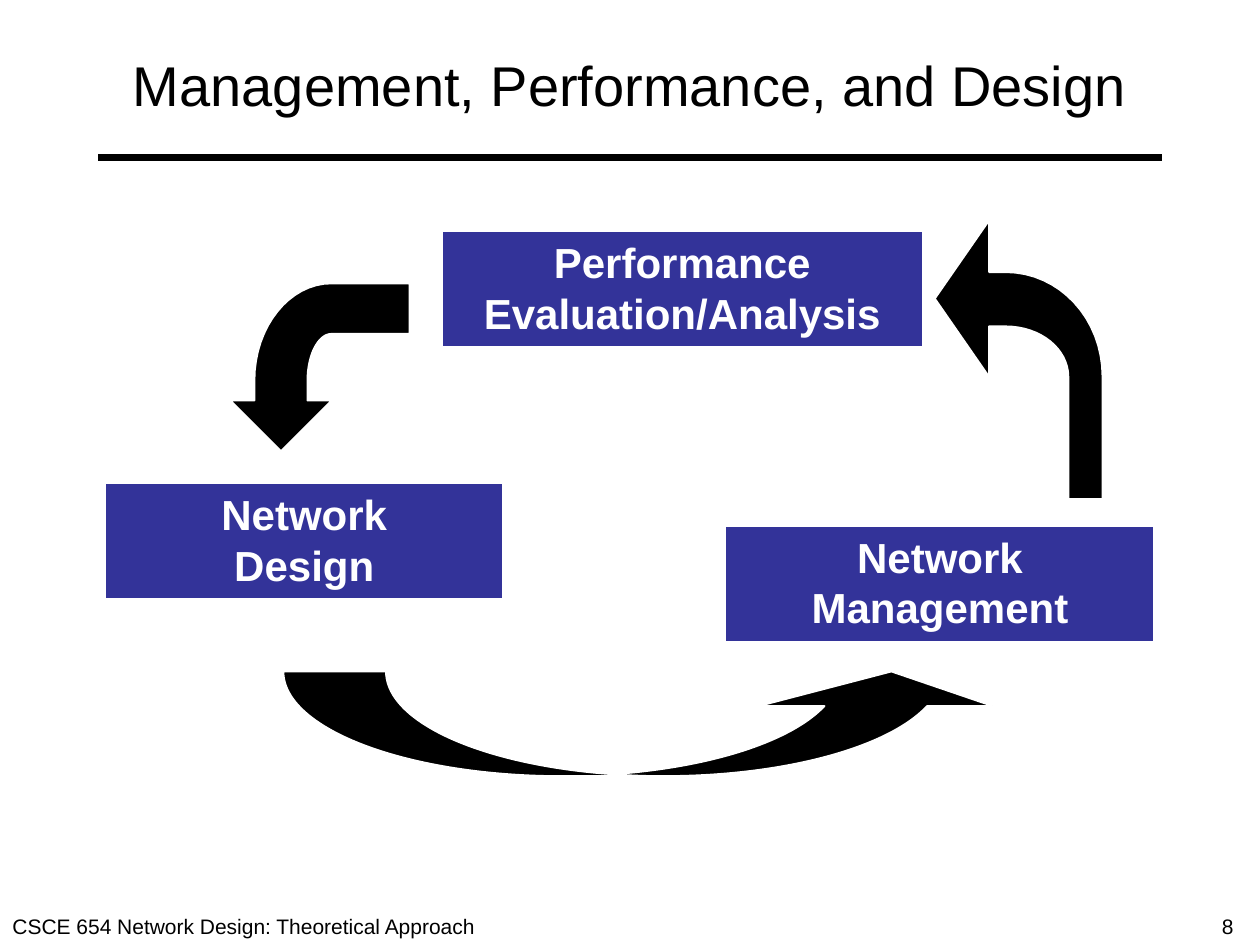
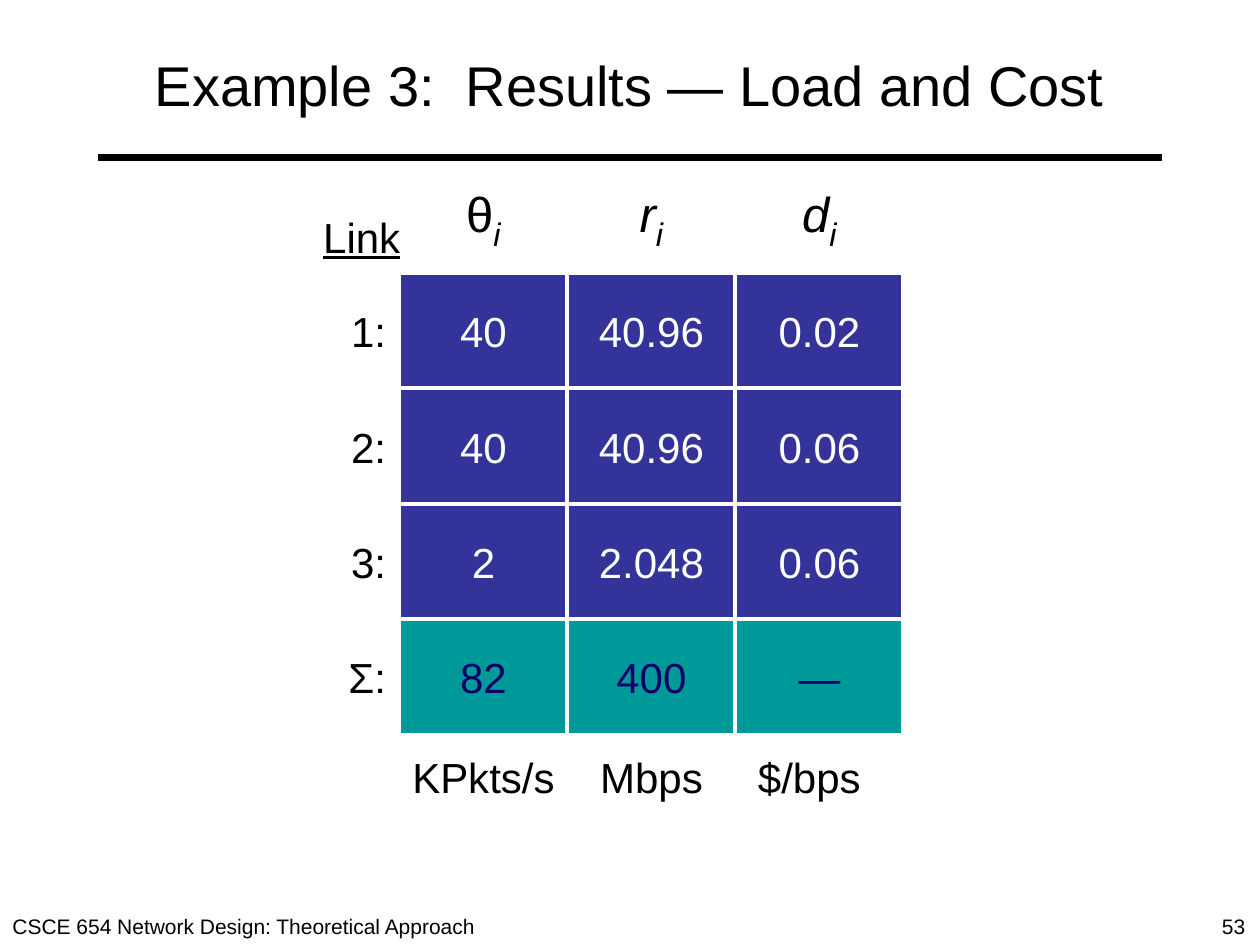
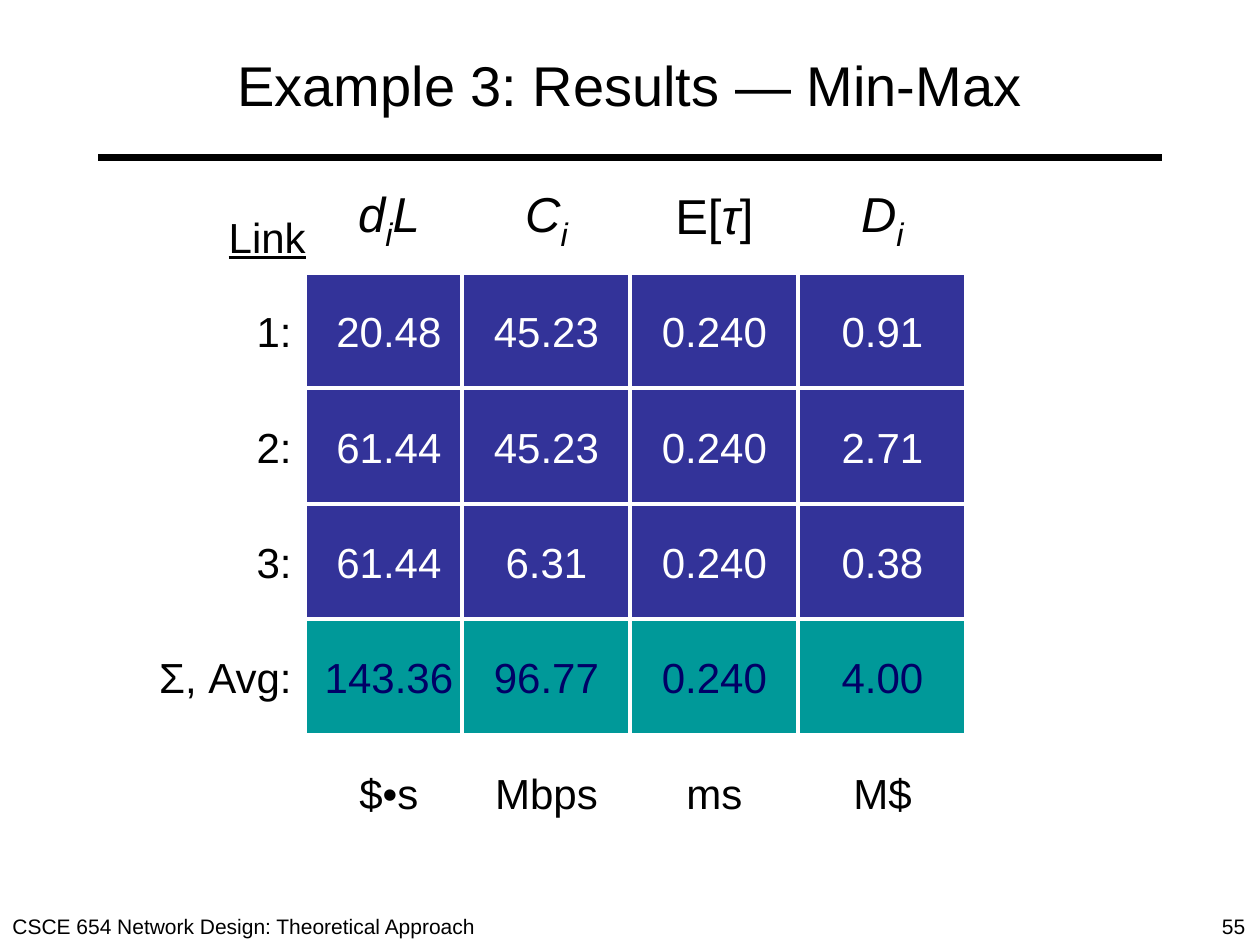
from dataclasses import dataclass

from lxml import etree
from pptx import Presentation
from pptx.dml.color import RGBColor
from pptx.enum.shapes import MSO_CONNECTOR, MSO_SHAPE
from pptx.enum.text import MSO_ANCHOR, MSO_AUTO_SIZE, PP_ALIGN
from pptx.oxml.ns import qn
from pptx.shapes.autoshape import Shape
from pptx.slide import Slide
from pptx.text.text import TextFrame
from pptx.util import Inches, Pt

BLACK = RGBColor(0x00, 0x00, 0x00)
WHITE = RGBColor(0xFF, 0xFF, 0xFF)
BLUE = RGBColor(0x33, 0x33, 0x99)
TEAL = RGBColor(0x00, 0x99, 0x99)
NAVY = RGBColor(0x00, 0x00, 0x66)

STRAIGHT = MSO_CONNECTOR.STRAIGHT
RECTANGLE = MSO_SHAPE.RECTANGLE
CURVED_UP_ARROW = MSO_SHAPE.CURVED_UP_ARROW
TOP, MIDDLE = MSO_ANCHOR.TOP, MSO_ANCHOR.MIDDLE
LEFT, CENTER, RIGHT = PP_ALIGN.LEFT, PP_ALIGN.CENTER, PP_ALIGN.RIGHT
FIXED, GROW = MSO_AUTO_SIZE.NONE, MSO_AUTO_SIZE.SHAPE_TO_FIT_TEXT

FONT = "Arial"
TITLE_ONLY_LAYOUT = 5
FOOTER = "CSCE 654 Network Design: Theoretical Approach"
COLUMN_WIDTH = 4 / 3
ROW_HEIGHT = 11 / 12
HEADER_TOP = 1.25
GRID_TOP = HEADER_TOP + ROW_HEIGHT
LABEL_SIZE = 7 / 12
CURVE_STEPS = 16

Point = tuple[float, float]


@dataclass(frozen=True)
class Box:
    """A position and size in inches."""
    left: float
    top: float
    width: float
    height: float

    def lengths(self) -> tuple[Inches, Inches, Inches, Inches]:
        """Return the four lengths for a shape call."""
        return Inches(self.left), Inches(self.top), Inches(self.width), Inches(self.height)


@dataclass(frozen=True)
class TextRun:
    """A piece of text with its formatting."""
    text: str
    size: float = 24
    color: RGBColor = BLACK
    bold: bool = False
    italic: bool = False
    underline: bool = False
    subscript: bool = False


@dataclass(frozen=True)
class Activity:
    """A labelled box of the design cycle."""
    box: Box
    lines: tuple[str, str]


@dataclass(frozen=True)
class Curve:
    """A cubic curve from the preceding point."""
    first_control: Point
    second_control: Point
    end: Point


@dataclass(frozen=True)
class Column:
    """A column of results with its symbol and unit."""
    left: float
    symbol: tuple[TextRun, ...]
    values: tuple[str, ...]
    unit: str
    unit_shift: float = 0


@dataclass(frozen=True)
class ResultGrid:
    """A slide of results for each link."""
    title: str
    number: int
    label_left: float
    total_label: str
    unit_height: float
    columns: tuple[Column, ...]


def symbol(text: str, italic: bool = True) -> TextRun:
    """Return a heading symbol."""
    return TextRun(text, 28, italic=italic)


INDEX = TextRun("i", 32, italic=True, subscript=True)

ACTIVITIES = (
    Activity(Box(3.5, 1.83, 3.83, 0.93), ("Performance", "Evaluation/Analysis")),
    Activity(Box(0.83, 3.83, 3.17, 0.93), ("Network", "Design")),
    Activity(Box(5.75, 4.17, 3.42, 0.93), ("Network", "Management")),
)

ARROW_TO_DESIGN = (
    (2.23, 3.58), (1.83, 3.18), (2.02, 3.18), (2.02, 3.02),
    Curve((2.02, 2.59), (2.3, 2.25), (2.63, 2.25)),
    (3.25, 2.25), (3.25, 2.65), (2.63, 2.65),
    Curve((2.53, 2.65), (2.44, 2.81), (2.44, 3.02)),
    (2.44, 3.18), (2.63, 3.18),
)
ARROW_TO_PERFORMANCE = (
    (7.42, 2.37), (7.85, 1.75), (7.85, 2.16), (7.98, 2.16),
    Curve((8.41, 2.16), (8.75, 2.53), (8.75, 2.99)),
    (8.75, 3.96), (8.48, 3.96), (8.48, 2.99),
    Curve((8.48, 2.77), (8.26, 2.59), (7.98, 2.59)),
    (7.85, 2.59), (7.85, 2.99),
)

LOAD_LEFT = 3.17
MIN_MAX_LEFT = 3.67
RESULT_GRIDS = (
    ResultGrid("Example 3:  Results — Load and Cost", 53, 2.58, "Σ:", 0.67, (
        Column(LOAD_LEFT, (symbol("θ", False), INDEX),
               ("40", "40", "2", "82"), "KPkts/s"),
        Column(LOAD_LEFT + COLUMN_WIDTH, (symbol("r"), INDEX),
               ("40.96", "40.96", "2.048", "400"), "Mbps"),
        Column(LOAD_LEFT + 2 * COLUMN_WIDTH, (symbol("d"), INDEX),
               ("0.02", "0.06", "0.06", "—"), "$/bps", -0.08),
    )),
    ResultGrid("Example 3: Results — Min-Max", 55, 1.83, "Σ, Avg:", ROW_HEIGHT, (
        Column(2.42, (symbol("d"), INDEX, symbol("L")),
               ("20.48", "61.44", "61.44", "143.36"), "$•s"),
        Column(MIN_MAX_LEFT, (symbol("C"), INDEX),
               ("45.23", "45.23", "6.31", "96.77"), "Mbps"),
        Column(MIN_MAX_LEFT + COLUMN_WIDTH,
               (symbol("E[", False), symbol("τ"), symbol("]", False)),
               ("0.240", "0.240", "0.240", "0.240"), "ms"),
        Column(MIN_MAX_LEFT + 2 * COLUMN_WIDTH, (symbol("D"), INDEX),
               ("0.91", "2.71", "0.38", "4.00"), "M$"),
    )),
)


def write_text(frame: TextFrame, lines: list[tuple[TextRun, ...]],
               align: PP_ALIGN = CENTER, anchor: MSO_ANCHOR = MIDDLE,
               wrap: bool = False, fit: MSO_AUTO_SIZE = FIXED) -> None:
    """Write lines of runs into a text frame."""
    frame.word_wrap = wrap
    frame.auto_size = fit
    frame.vertical_anchor = anchor
    for index, line in enumerate(lines):
        paragraph = frame.add_paragraph() if index else frame.paragraphs[0]
        paragraph.alignment = align
        for part in line:
            run = paragraph.add_run()
            run.text = part.text
            font = run.font
            font.name = FONT
            font.size = Pt(part.size)
            font.color.rgb = part.color
            font.bold = part.bold
            font.italic = part.italic
            font.underline = part.underline
            if part.subscript:
                run._r.get_or_add_rPr().set("baseline", "-25000")


def add_label(slide: Slide, box: Box, runs: tuple[TextRun, ...],
              align: PP_ALIGN = CENTER, anchor: MSO_ANCHOR = MIDDLE,
              fit: MSO_AUTO_SIZE = FIXED) -> None:
    """Add a one-line text box."""
    shape = slide.shapes.add_textbox(*box.lengths())
    write_text(shape.text_frame, [runs], align, anchor, fit=fit)


def paint(shape: Shape, fill: RGBColor, line_width: float) -> None:
    """Give a shape a flat fill and a white outline."""
    shape.shadow.inherit = False
    shape.fill.solid()
    shape.fill.fore_color.rgb = fill
    shape.line.color.rgb = WHITE
    shape.line.width = Pt(line_width)


def add_rectangle(slide: Slide, box: Box, fill: RGBColor) -> Shape:
    """Add a filled rectangle."""
    shape = slide.shapes.add_shape(RECTANGLE, *box.lengths())
    paint(shape, fill, 2.25)
    return shape


def curve_points(start: Point, curve: Curve) -> list[Point]:
    """Return points along a cubic curve."""
    controls = (start, curve.first_control, curve.second_control, curve.end)
    points = []
    for step in range(1, CURVE_STEPS + 1):
        t = step / CURVE_STEPS
        weights = ((1 - t) ** 3, 3 * t * (1 - t) ** 2, 3 * t ** 2 * (1 - t), t ** 3)
        points.append((sum(w * p[0] for w, p in zip(weights, controls)),
                       sum(w * p[1] for w, p in zip(weights, controls))))
    return points


def add_bent_arrow(slide: Slide, outline: tuple[Point | Curve, ...]) -> None:
    """Add a black arrow with a curved bend."""
    points = []
    for part in outline:
        points.extend(curve_points(points[-1], part) if isinstance(part, Curve) else [part])
    corners = [(Inches(x), Inches(y)) for x, y in points]
    builder = slide.shapes.build_freeform(*corners[0])
    builder.add_line_segments(corners[1:], close=True)
    paint(builder.convert_to_shape(), BLACK, 1)


def add_base_slide(presentation: Presentation, title: str, number: int) -> Slide:
    """Add a slide with title, rule, footer and number."""
    slide = presentation.slides.add_slide(presentation.slide_layouts[TITLE_ONLY_LAYOUT])
    rule = slide.shapes.add_connector(
        STRAIGHT, Inches(0.78), Inches(1.25), Inches(9.22), Inches(1.25))
    rule.line.color.rgb = BLACK
    rule.line.width = Pt(4.5)
    etree.SubElement(rule._element.spPr, qn("a:effectLst"))
    for box, text in ((Box(0, 7.2, 3.95, 0.3), FOOTER),
                      (Box(9.6, 7.2, 0.4, 0.3), str(number))):
        add_label(slide, box, (TextRun(text, 12),), LEFT, TOP, GROW)
    heading = slide.shapes.title
    heading.left, heading.top, heading.width, heading.height = Box(0.5, 0.17, 9, 1).lengths()
    write_text(heading.text_frame, [(TextRun(title, 32),)], wrap=True)
    return slide


def add_cycle_slide(presentation: Presentation) -> None:
    """Add the cycle of management, performance and design."""
    slide = add_base_slide(presentation, "Management, Performance, and Design", 8)
    for activity in ACTIVITIES:
        shape = add_rectangle(slide, activity.box, BLUE)
        lines = [(TextRun(line, color=WHITE, bold=True),) for line in activity.lines]
        write_text(shape.text_frame, lines, anchor=TOP, wrap=True, fit=GROW)
    add_bent_arrow(slide, ARROW_TO_DESIGN)
    add_bent_arrow(slide, ARROW_TO_PERFORMANCE)
    arrow = slide.shapes.add_shape(CURVED_UP_ARROW, *Box(2.25, 5.33, 5.75, 0.83).lengths())
    for index, value in enumerate((0.98, 2.23, 0.33)):
        arrow.adjustments[index] = value
    paint(arrow, BLACK, 1)


def add_result_slide(presentation: Presentation, grid: ResultGrid) -> None:
    """Add a grid of results with link labels and units."""
    slide = add_base_slide(presentation, grid.title, grid.number)
    link_box = Box(grid.label_left, GRID_TOP - LABEL_SIZE, LABEL_SIZE, LABEL_SIZE)
    add_label(slide, link_box, (TextRun("Link", underline=True),))
    row_labels = ("1:", "2:", "3:", grid.total_label)
    row_tops = [GRID_TOP + row * ROW_HEIGHT for row in range(len(row_labels))]
    for top, label in zip(row_tops, row_labels):
        add_label(slide, Box(grid.label_left, top, LABEL_SIZE, ROW_HEIGHT),
                  (TextRun(label),), RIGHT)
    for column in grid.columns:
        add_label(slide, Box(column.left, HEADER_TOP, COLUMN_WIDTH, ROW_HEIGHT), column.symbol)
        for top, value in zip(row_tops, column.values):
            fill, color = (TEAL, NAVY) if top == row_tops[-1] else (BLUE, WHITE)
            cell = add_rectangle(slide, Box(column.left, top, COLUMN_WIDTH, ROW_HEIGHT), fill)
            write_text(cell.text_frame, [(TextRun(value, color=color),)])
        unit_box = Box(column.left + column.unit_shift, row_tops[-1] + ROW_HEIGHT,
                       COLUMN_WIDTH, grid.unit_height)
        add_label(slide, unit_box, (TextRun(column.unit),))


def main() -> None:
    """Build and save the presentation."""
    presentation = Presentation()
    presentation.slide_width = Inches(10)
    presentation.slide_height = Inches(7.5)
    add_cycle_slide(presentation)
    for grid in RESULT_GRIDS:
        add_result_slide(presentation, grid)
    presentation.save("out.pptx")


if __name__ == "__main__":
    main()
